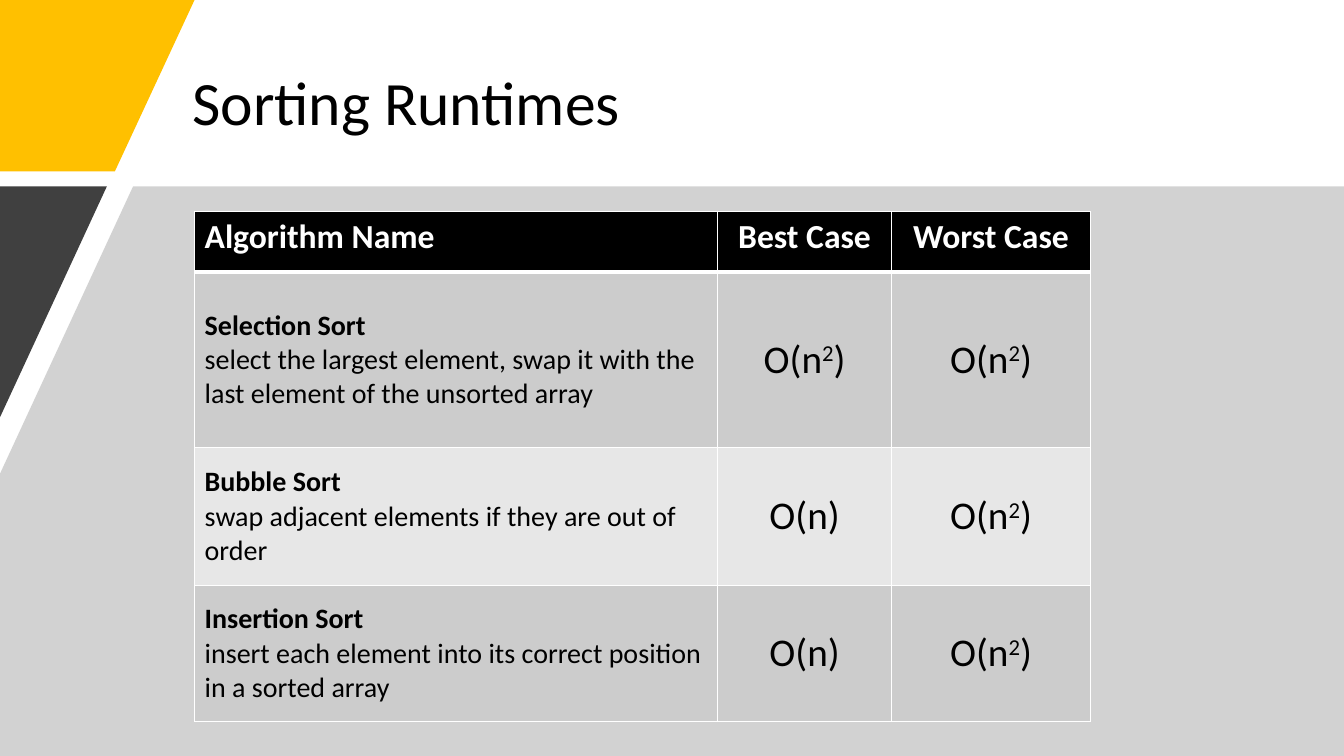
from lxml.etree import SubElement
from pptx import Presentation
from pptx.dml.color import RGBColor
from pptx.enum.text import MSO_ANCHOR, PP_ALIGN
from pptx.oxml.ns import qn
from pptx.util import Inches, Pt

FONT = "Calibri"
BLACK = RGBColor(0x00, 0x00, 0x00)
WHITE = RGBColor(0xFF, 0xFF, 0xFF)
GOLD = RGBColor(0xFF, 0xC0, 0x00)
CHARCOAL = RGBColor(0x40, 0x40, 0x40)
GREY = RGBColor(0xA6, 0xA6, 0xA6)
BANDS = [RGBColor(0xCC, 0xCC, 0xCC), RGBColor(0xE7, 0xE7, 0xE7)]

WIDTH, HEIGHT = 13.33, 7.5
PANEL_TOP = 1.85
HEADINGS = ["Algorithm Name", "Best Case", "Worst Case"]
COLUMN_WIDTHS = [5.19, 1.72, 1.98]
ROW_HEIGHTS = [0.6, 1.74, 1.37, 1.35]
LINEAR = [("O(n)", False)]
QUADRATIC = [("O(n", False), ("2", True), (")", False)]
ALGORITHMS = [
    ("Selection Sort", "select the largest element, swap it with the last element "
     "of the unsorted array", QUADRATIC, QUADRATIC),
    ("Bubble Sort", "swap adjacent elements if they are out of order",
     LINEAR, QUADRATIC),
    ("Insertion Sort", "insert each element into its correct position in a sorted array",
     LINEAR, QUADRATIC),
]


def style_run(run, size, color=BLACK, bold=False):
    run.font.name = FONT
    run.font.size = Pt(size)
    run.font.bold = bold
    run.font.color.rgb = color


def add_polygon(slide, left, top, corners, color, opacity=100):
    points = [(Inches(left + x), Inches(top + y)) for x, y in corners]
    builder = slide.shapes.build_freeform(*points[0])
    builder.add_line_segments(points[1:], close=True)
    polygon = builder.convert_to_shape()
    polygon.shadow.inherit = False
    polygon.line.fill.background()
    polygon.fill.solid()
    polygon.fill.fore_color.rgb = color
    if opacity < 100:
        tint = polygon.fill._xPr.find(".//" + qn("a:srgbClr"))
        SubElement(tint, qn("a:alpha"), val=str(opacity * 1000))


def add_backdrop(slide, left, top, width, height):
    add_polygon(slide, left, top, [(0, 0), (1.93, 0), (1.14, 1.7), (0, 1.7)], GOLD)
    add_polygon(slide, left, top,
                [(1.32, PANEL_TOP), (width, PANEL_TOP), (width, height),
                 (0, height), (0, 4.7)], GREY, 50)
    add_polygon(slide, left, top, [(0, PANEL_TOP), (1.06, PANEL_TOP), (0, 4.14)], CHARCOAL)


def add_title(slide, left, top, width, height):
    title = slide.shapes.add_textbox(*map(Inches, (left, top, width, height)))
    frame = title.text_frame
    frame.word_wrap = True
    frame.vertical_anchor = MSO_ANCHOR.MIDDLE
    frame.text = "Sorting Runtimes"
    frame.paragraphs[0].line_spacing = 0.9
    style_run(frame.paragraphs[0].runs[0], 44)


def style_cell(cell, color, top_border, bottom_border):
    properties = cell._tc.get_or_add_tcPr()
    for side, points in zip("LRTB", (1, 1, top_border, bottom_border)):
        border = SubElement(properties, qn(f"a:ln{side}"), w=str(Pt(points)))
        border_fill = SubElement(border, qn("a:solidFill"))
        SubElement(border_fill, qn("a:srgbClr"), val=str(WHITE))
    cell.fill.solid()
    cell.fill.fore_color.rgb = color


def fill_heading(cell, heading, centred):
    style_cell(cell, BLACK, 1, 3)
    cell.text_frame.text = heading
    paragraph = cell.text_frame.paragraphs[0]
    paragraph.alignment = PP_ALIGN.CENTER if centred else PP_ALIGN.LEFT
    style_run(paragraph.runs[0], 24, WHITE, True)


def fill_description(cell, name, action):
    cell.text_frame.text = f"{name}\n{action}"
    for paragraph, bold in zip(cell.text_frame.paragraphs, (True, False)):
        style_run(paragraph.runs[0], 20, bold=bold)


def fill_runtime(cell, runtime):
    paragraph = cell.text_frame.paragraphs[0]
    paragraph.alignment = PP_ALIGN.CENTER
    for text, raised in runtime:
        run = paragraph.add_run()
        run.text = text
        style_run(run, 28)
        if raised:
            run.font._rPr.set("baseline", "30000")


def add_runtimes(slide, left, top, width, height):
    runtimes = slide.shapes.add_table(
        len(ROW_HEIGHTS), len(COLUMN_WIDTHS),
        *map(Inches, (left, top, width, height))).table
    for column, column_width in zip(runtimes.columns, COLUMN_WIDTHS):
        column.width = Inches(column_width)
    for row, row_height in zip(runtimes.rows, ROW_HEIGHTS):
        row.height = Inches(row_height)
    for index, heading in enumerate(HEADINGS):
        fill_heading(runtimes.cell(0, index), heading, index > 0)
    for index, (name, action, *cases) in enumerate(ALGORITHMS):
        cells = runtimes.rows[index + 1].cells
        for cell in cells:
            style_cell(cell, BANDS[index % 2], 1 if index else 3, 1)
            cell.vertical_anchor = MSO_ANCHOR.MIDDLE
        fill_description(cells[0], name, action)
        for column, runtime in enumerate(cases, 1):
            fill_runtime(cells[column], runtime)


presentation = Presentation()
presentation.slide_width = Inches(WIDTH)
presentation.slide_height = Inches(HEIGHT)
sorting_slide = presentation.slides.add_slide(presentation.slide_layouts[6])
add_backdrop(sorting_slide, 0, 0, WIDTH, HEIGHT)
add_title(sorting_slide, 1.81, 0.4, 10.24, 1.3)
add_runtimes(sorting_slide, 1.93, 2.1, sum(COLUMN_WIDTHS), sum(ROW_HEIGHTS))
presentation.save("out.pptx")
